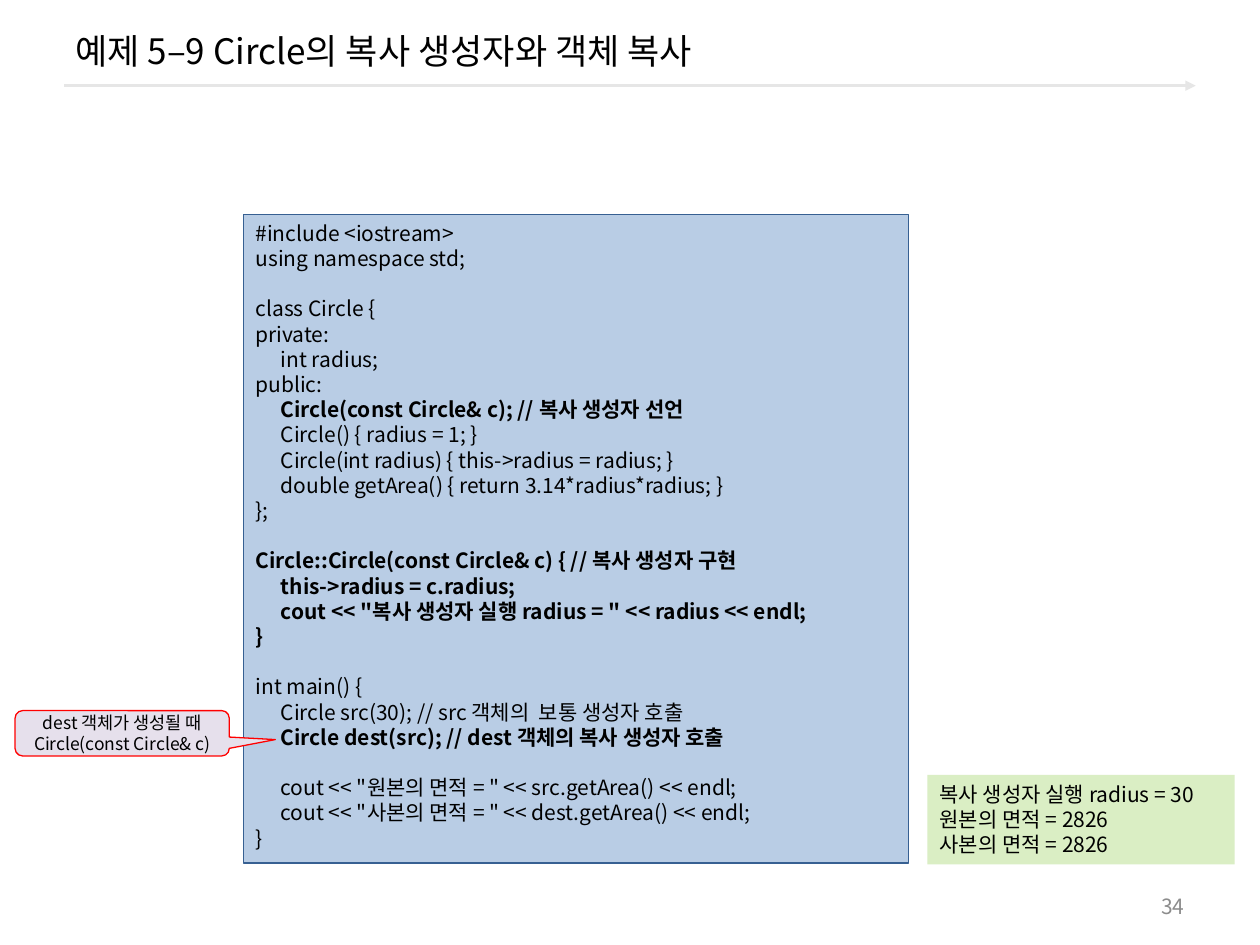
import pptx
import pptx.dml.color
import pptx.enum.shapes
import pptx.enum.text
import pptx.oxml.ns
import pptx.util
from lxml import etree

Inches = pptx.util.Inches
Pt = pptx.util.Pt
RGB = pptx.dml.color.RGBColor.from_string
qn = pptx.oxml.ns.qn
SHAPE = pptx.enum.shapes.MSO_SHAPE
ALIGN = pptx.enum.text.PP_ALIGN
ANCHOR = pptx.enum.text.MSO_ANCHOR

FONT = "Noto Sans CJK KR"
COLORS = {
    "text": "000000", "number": "8C8C8C", "rule": "E6E6E6",
    "code": "B9CDE5", "code_line": "376092", "output": "DAEEC4",
    "callout": "E6E0EC", "callout_line": "FF0000",
}


def write(sp, text, size=12, color="text", align=ALIGN.LEFT, anchor=ANCHOR.TOP, bold_lines=(), tab=None):
    tf = sp.text_frame
    tf.word_wrap = True
    tf.vertical_anchor = anchor
    for i, line in enumerate(text.split("\n")):
        p = tf.paragraphs[0] if i == 0 else tf.add_paragraph()
        p.alignment = align
        p.line_spacing = Pt(size * 1.2)
        if tab:
            tabs = etree.SubElement(p._p.get_or_add_pPr(), qn("a:tabLst"))
            etree.SubElement(tabs, qn("a:tab"), pos=str(Inches(tab)), algn="l")
        p.font.size = Pt(size)
        if line:
            r = p.add_run()
            r.text = line
            r.font.name = FONT
            r.font.size = Pt(size)
            r.font.bold = i in bold_lines
            r.font.color.rgb = RGB(COLORS[color])
            etree.SubElement(r._r.get_or_add_rPr(), qn("a:ea"), typeface=FONT)


def add_box(kind, at, fill, line=None):
    sp = s.shapes.add_shape(kind, *map(Inches, at))
    sp.shadow.inherit = False
    sp.fill.solid()
    sp.fill.fore_color.rgb = RGB(COLORS[fill])
    if line:
        sp.line.color.rgb = RGB(COLORS[line])
        sp.line.width = Pt(0.75)
    else:
        sp.line.fill.background()
    return sp


prs = pptx.Presentation()
prs.slide_width = Inches(10)
prs.slide_height = Inches(7.5)
s = prs.slides.add_slide(prs.slide_layouts[6])

rule = s.shapes.add_connector(
    pptx.enum.shapes.MSO_CONNECTOR.STRAIGHT, Inches(0.51), Inches(0.68), Inches(9.49), Inches(0.68))
rule.line.color.rgb = RGB(COLORS["rule"])
rule.line.width = Pt(1.5)
etree.SubElement(rule.line._get_or_add_ln(), qn("a:tailEnd"), type="triangle")
etree.SubElement(rule._element.spPr, qn("a:effectLst"))

title = s.shapes.add_textbox(Inches(0.5), Inches(0.08), Inches(9), Inches(0.64))
write(title, "예제 5–9 Circle의 복사 생성자와 객체 복사", size=20, anchor=ANCHOR.MIDDLE)

number = s.shapes.add_textbox(Inches(7.17), Inches(7.03), Inches(2.33), Inches(0.32))
write(number, "34", color="number", align=ALIGN.RIGHT, anchor=ANCHOR.MIDDLE)

CODE = """#include <iostream>
using namespace std;

class Circle {
private:
\tint radius;
public:
\tCircle(const Circle& c); // 복사 생성자 선언
\tCircle() { radius = 1; }
\tCircle(int radius) { this->radius = radius; }
\tdouble getArea() { return 3.14*radius*radius; }
};

Circle::Circle(const Circle& c) { // 복사 생성자 구현
\tthis->radius = c.radius;
\tcout << "복사 생성자 실행 radius = " << radius << endl;
}

int main() {
\tCircle src(30); // src 객체의  보통 생성자 호출
\tCircle dest(src); // dest 객체의 복사 생성자 호출

\tcout << "원본의 면적 = " << src.getArea() << endl;
\tcout << "사본의 면적 = " << dest.getArea() << endl;
}"""
code = add_box(SHAPE.RECTANGLE, (1.93, 1.7, 5.28, 5.15), "code", "code_line")
write(code, CODE, bold_lines=(7, 13, 14, 15, 16, 20), tab=0.2)

output = add_box(SHAPE.RECTANGLE, (7.36, 6.15, 2.44, 0.71), "output")
write(output, "복사 생성자 실행 radius = 30\n원본의 면적 = 2826\n사본의 면적 = 2826")

callout = add_box(SHAPE.ROUNDED_RECTANGULAR_CALLOUT, (0.12, 5.64, 1.7, 0.36), "callout", "callout_line")
for i, value in enumerate((0.715, 0.139, 0.167)):
    callout.adjustments[i] = value
write(callout, "dest 객체가 생성될 때 Circle(const Circle& c)", size=10,
      align=ALIGN.CENTER, anchor=ANCHOR.MIDDLE)

prs.save("out.pptx")
